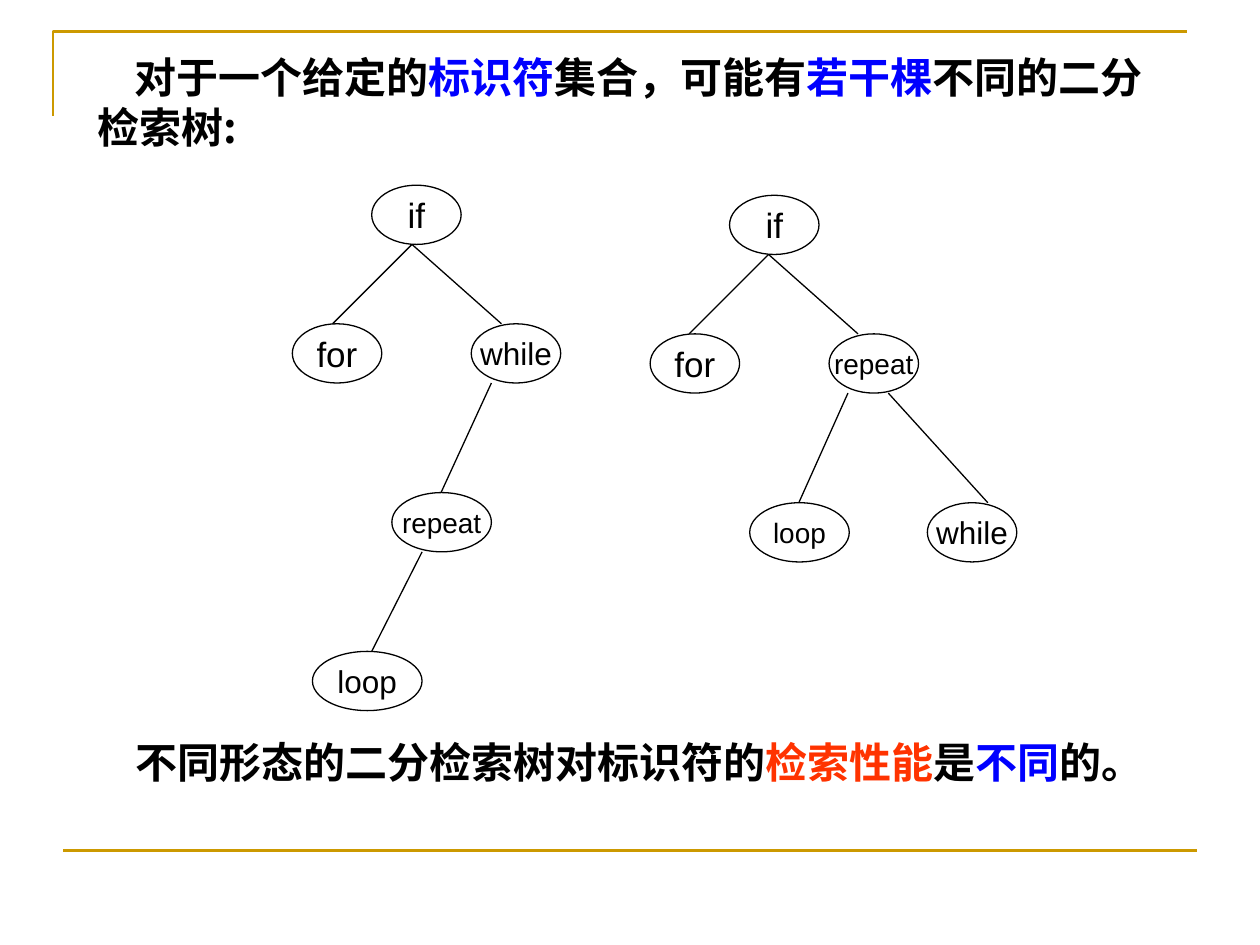
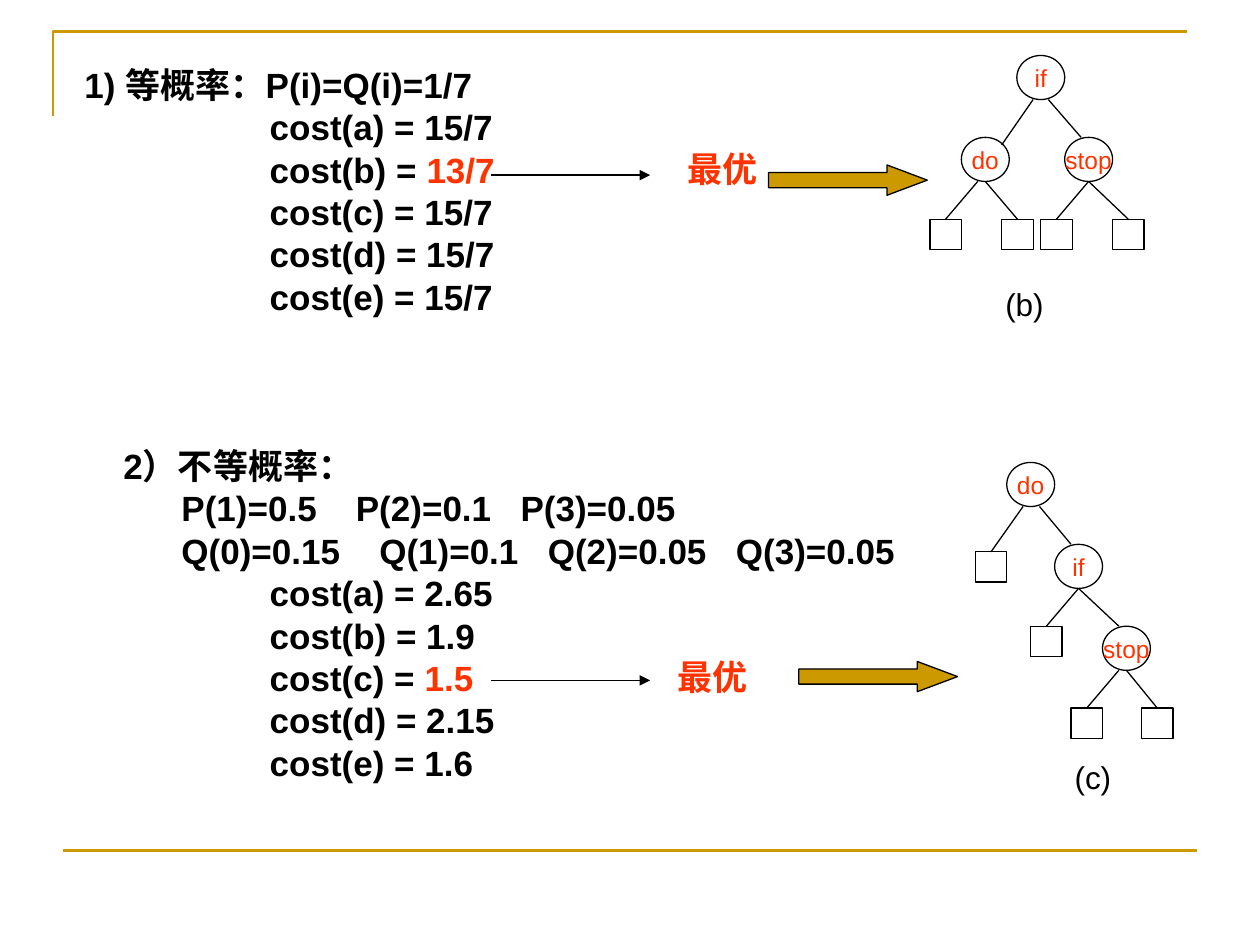
from lxml import etree
from pptx import Presentation
from pptx import util as u
from pptx.dml.color import RGBColor
from pptx.enum import shapes, text
from pptx.oxml.ns import qn

BLACK, BLUE, RED, GOLD = "000000", "0000FF", "FF3300", "CC9900"
LATIN, CJK = "Arial", "Noto Sans CJK SC"
NODE_H = 0.47
CIRCLE_W, CIRCLE_H = 0.38, 0.35
LEAF_W, LEAF_H = 0.25, 0.24
COST_SIZE, COST_PITCH = 20, 24.2

INTRO = [("对于一个给定的", BLACK), ("标识符", BLUE), ("集合，可能有", BLACK),
         ("若干棵", BLUE), ("不同的二分检索树:", BLACK)]
CONCLUSION = [("不同形态的二分检索树对标识符的", BLACK), ("检索性能", RED),
              ("是", BLACK), ("不同", BLUE), ("的。", BLACK)]

# nodes: label -> (left, top, width, text size)
# edges: (parent, x at parent's bottom, child, x at child's top[, drop below top])
IDENTIFIER_TREES = [
    {"nodes": {"if": (2.95, 1.47, 0.71, 20), "for": (2.32, 2.57, 0.71, 20),
               "while": (3.74, 2.57, 0.71, 18), "repeat": (3.11, 3.91, 0.79, 16),
               "loop": (2.48, 5.17, 0.87, 18)},
     "edges": [("if", 3.27, "for", 2.64), ("if", 3.27, "while", 3.98),
               ("while", 3.9, "repeat", 3.5), ("repeat", 3.35, "loop", 2.95)]},
    {"nodes": {"if": (5.79, 1.55, 0.71, 20), "for": (5.16, 2.65, 0.71, 20),
               "repeat": (6.58, 2.65, 0.71, 16), "loop": (5.95, 3.99, 0.79, 16),
               "while": (7.36, 3.99, 0.71, 18)},
     "edges": [("if", 6.1, "for", 5.47), ("if", 6.1, "repeat", 6.81),
               ("repeat", 6.73, "loop", 6.34), ("repeat", 7.05, "while", 7.84)]},
]

# leaves: (parent, x at parent's bottom, leaf left, leaf top)
OPTIMAL_TREES = [
    {"nodes": {"if": (8.07, 0.44), "do": (7.63, 1.09), "stop": (8.45, 1.09)},
     "edges": [("if", 8.2, "do", 7.95, 0.06), ("if", 8.32, "stop", 8.58)],
     "leaves": [("do", 7.76, 7.38, 1.74), ("do", 7.82, 7.95, 1.74),
                ("stop", 8.64, 8.26, 1.74), ("stop", 8.64, 8.83, 1.74)],
     "caption": ("(b)", 7.88, 2.21)},
    {"nodes": {"do": (7.99, 3.67), "if": (8.37, 4.32), "stop": (8.75, 4.97)},
     "edges": [("do", 8.25, "if", 8.5), ("if", 8.56, "stop", 8.88)],
     "leaves": [("do", 8.12, 7.74, 4.38), ("if", 8.56, 8.18, 4.97),
                ("stop", 8.88, 8.5, 5.62), ("stop", 8.94, 9.06, 5.62)],
     "caption": ("(c)", 8.43, 5.97)},
]

# a run is (words, colour[, letter spacing in points])
WIDE, NARROW = (" ", BLACK, 16.7), (" ", BLACK, 11.1)
COST_INDENT, PROB_INDENT = 1.54, 0.84
# (indent, runs, space before in points)
COST_LINES = [
    (0.07, [("1) 等概率：P(i)=Q(i)=1/7", BLACK)], 0),
    (COST_INDENT, [("cost(a) = 15/7", BLACK)], 0),
    (COST_INDENT, [("cost(b) = ", BLACK), ("13/7", RED)], 0),
    (COST_INDENT, [("cost(c) = 15/7", BLACK)], 0),
    (COST_INDENT, [("cost(d) = 15/7", BLACK)], 0),
    (COST_INDENT, [("cost(e) = 15/7", BLACK)], 0),
    (0.38, [("2）不等概率：", BLACK)], 3 * COST_PITCH),
    (PROB_INDENT, [("P(1)=0.5", BLACK), WIDE, ("P(2)=0.1", BLACK), NARROW,
                   ("P(3)=0.05", BLACK)], 0),
    (PROB_INDENT, [("Q(0)=0.15", BLACK), WIDE, ("Q(1)=0.1", BLACK), NARROW,
                   ("Q(2)=0.05", BLACK), NARROW, ("Q(3)=0.05", BLACK)], 0),
    (COST_INDENT, [("cost(a) = 2.65", BLACK)], 0),
    (COST_INDENT, [("cost(b) = 1.9", BLACK)], 0),
    (COST_INDENT, [("cost(c) = ", BLACK), ("1.5", RED)], 0),
    (COST_INDENT, [("cost(d) = 2.15", BLACK)], 0),
    (COST_INDENT, [("cost(e) = 1.6", BLACK)], 0),
]
BEST = "最优"
BEST_LABELS = [(5.36, 1.12), (5.28, 5.15)]
POINTER_TOPS = [1.39, 5.4]
BLOCK_ARROWS = [(6.1, 1.31), (6.34, 5.25)]


def rgb(color):
    return RGBColor.from_string(color)


def inches(*lengths):
    return [u.Inches(n) for n in lengths]


def add_run(p, words, size, color=BLACK, bold=False, latin=LATIN, spacing=0):
    r = p.add_run()
    r.text = words
    r.font.size, r.font.bold, r.font.name = u.Pt(size), bold, latin
    r.font.color.rgb = rgb(color)
    etree.SubElement(r.font._element, qn("a:ea"), typeface=CJK)
    if spacing:
        r.font._element.set("spc", str(round(spacing * 100)))


def style_outline(sp, color=BLACK, width=0.75, fill=None):
    sp.shadow.inherit = False
    sp.line.color.rgb, sp.line.width = rgb(color), u.Pt(width)
    if fill:
        sp.fill.solid()
        sp.fill.fore_color.rgb = rgb(fill)
    else:
        sp.fill.background()


def add_line(parent, x1, y1, x2, y2, color=BLACK, width=0.75, arrow=False):
    sp = parent.add_connector(shapes.MSO_CONNECTOR.STRAIGHT, *inches(x1, y1, x2, y2))
    sp.line.color.rgb, sp.line.width = rgb(color), u.Pt(width)
    if arrow:
        etree.SubElement(sp.line._get_or_add_ln(), qn("a:tailEnd"), type="triangle")
    etree.SubElement(sp._element.spPr, qn("a:effectLst"))
    return sp


def move(sp, left, top, width, height):
    sp.left, sp.top, sp.width, sp.height = inches(left, top, width, height)


def add_frame(s, master):
    """Draw the gold corner and foot line and hand them to the master."""
    left, top, right, bottom = inches(0.42, 0.25, 9.42, 0.92)
    builder = s.shapes.build_freeform(left, bottom)
    builder.add_line_segments([(left, top), (right, top)], close=False)
    corner = builder.convert_to_shape()
    style_outline(corner, GOLD, 1.5)
    foot = add_line(s.shapes, 0.5, 6.75, 9.5, 6.75, GOLD, 1.5)
    for sp in (corner, foot):
        master.element.cSld.spTree.append(sp._element)


def add_node(parent, label, left, top, width, height, size, color):
    sp = parent.add_shape(shapes.MSO_SHAPE.OVAL, *inches(left, top, width, height))
    style_outline(sp)
    tf = sp.text_frame
    tf.word_wrap, tf.vertical_anchor = False, text.MSO_ANCHOR.MIDDLE
    tf.paragraphs[0].alignment = text.PP_ALIGN.CENTER
    add_run(tf.paragraphs[0], label, size, color)


def add_edges(parent, tree, height):
    """Join each parent's bottom to its child's top."""
    tops = {label: node[1] for label, node in tree["nodes"].items()}
    for start, x1, end, x2, *drop in tree["edges"]:
        add_line(parent, x1, tops[start] + height, x2, tops[end] + sum(drop))
    for start, x1, left, top in tree.get("leaves", []):
        add_line(parent, x1, tops[start] + height, left + LEAF_W / 2, top)


def add_identifier_tree(s, tree):
    group = s.shapes.add_group_shape().shapes
    for label, (left, top, width, size) in tree["nodes"].items():
        add_node(group, label, left, top, width, NODE_H, size, BLACK)
    add_edges(group, tree, NODE_H)


def add_optimal_tree(s, tree):
    group = s.shapes.add_group_shape().shapes
    for label, (left, top) in tree["nodes"].items():
        add_node(group, label, left, top, CIRCLE_W, CIRCLE_H, 14, RED)
    for _, _, left, top in tree["leaves"]:
        style_outline(group.add_shape(shapes.MSO_SHAPE.RECTANGLE,
                                      *inches(left, top, LEAF_W, LEAF_H)))
    add_edges(group, tree, CIRCLE_H)
    caption, left, top = tree["caption"]
    tf = group.add_textbox(*inches(left, top, 0.88, 0.4)).text_frame
    tf.word_wrap = True
    add_run(tf.paragraphs[0], caption, 18)


def write_statement(sp, runs, indent=0):
    tf = sp.text_frame
    tf.word_wrap, tf.auto_size = True, text.MSO_AUTO_SIZE.NONE
    tf.vertical_anchor = text.MSO_ANCHOR.TOP
    p = tf.paragraphs[0]
    p.alignment, p.line_spacing = text.PP_ALIGN.LEFT, u.Pt(28.6)
    p._p.get_or_add_pPr().set("indent", str(u.Inches(indent)))
    for words, color in runs:
        add_run(p, words, 24, color, True, CJK)


def write_costs(tf):
    tf.auto_size = text.MSO_AUTO_SIZE.NONE
    for i, (indent, runs, before) in enumerate(COST_LINES):
        p = tf.add_paragraph() if i else tf.paragraphs[0]
        pPr = p._p.get_or_add_pPr()
        pPr.set("marL", "0")
        pPr.set("indent", str(u.Inches(indent)))
        etree.SubElement(pPr, qn("a:buNone"))
        p.line_spacing, p.space_before = u.Pt(COST_PITCH), u.Pt(before)
        for words, color, *spacing in runs:
            add_run(p, words, COST_SIZE, color, True, spacing=sum(spacing))


def add_best_label(s, left, top):
    tf = s.shapes.add_textbox(*inches(left, top, 0.8, 0.44)).text_frame
    tf.word_wrap = True
    tf.paragraphs[0].line_spacing = u.Pt(COST_PITCH)
    add_run(tf.paragraphs[0], BEST, COST_SIZE, RED, True)


def build_trees_slide(prs):
    s = prs.slides.add_slide(prs.slide_layouts[5])
    add_frame(s, prs.slide_master)
    move(s.shapes.title, 0.67, 0.36, 8.58, 0.9)
    write_statement(s.shapes.title, INTRO, 0.3)
    for tree in IDENTIFIER_TREES:
        add_identifier_tree(s, tree)
    write_statement(s.shapes.add_textbox(*inches(0.98, 5.8, 8.82, 0.5)), CONCLUSION)


def build_costs_slide(prs):
    s = prs.slides.add_slide(prs.slide_layouts[1])
    title = s.shapes.title._element
    title.getparent().remove(title)
    body = s.placeholders[1]
    move(body, 0.5, 0.45, 9, 6.18)
    write_costs(body.text_frame)
    for left, top in BEST_LABELS:
        add_best_label(s, left, top)
    for top in POINTER_TOPS:
        add_line(s.shapes, 3.9, top, 5.16, top, arrow=True)
    for tree in OPTIMAL_TREES:
        add_optimal_tree(s, tree)
    for left, top in BLOCK_ARROWS:
        sp = s.shapes.add_shape(shapes.MSO_SHAPE.RIGHT_ARROW,
                                *inches(left, top, 1.26, 0.24))
        sp.adjustments[0], sp.adjustments[1] = 0.5, 1.33
        style_outline(sp, fill=GOLD)


def main():
    prs = Presentation()
    prs.slide_width, prs.slide_height = inches(10, 7.5)
    build_trees_slide(prs)
    build_costs_slide(prs)
    prs.save("out.pptx")


if __name__ == "__main__":
    main()
